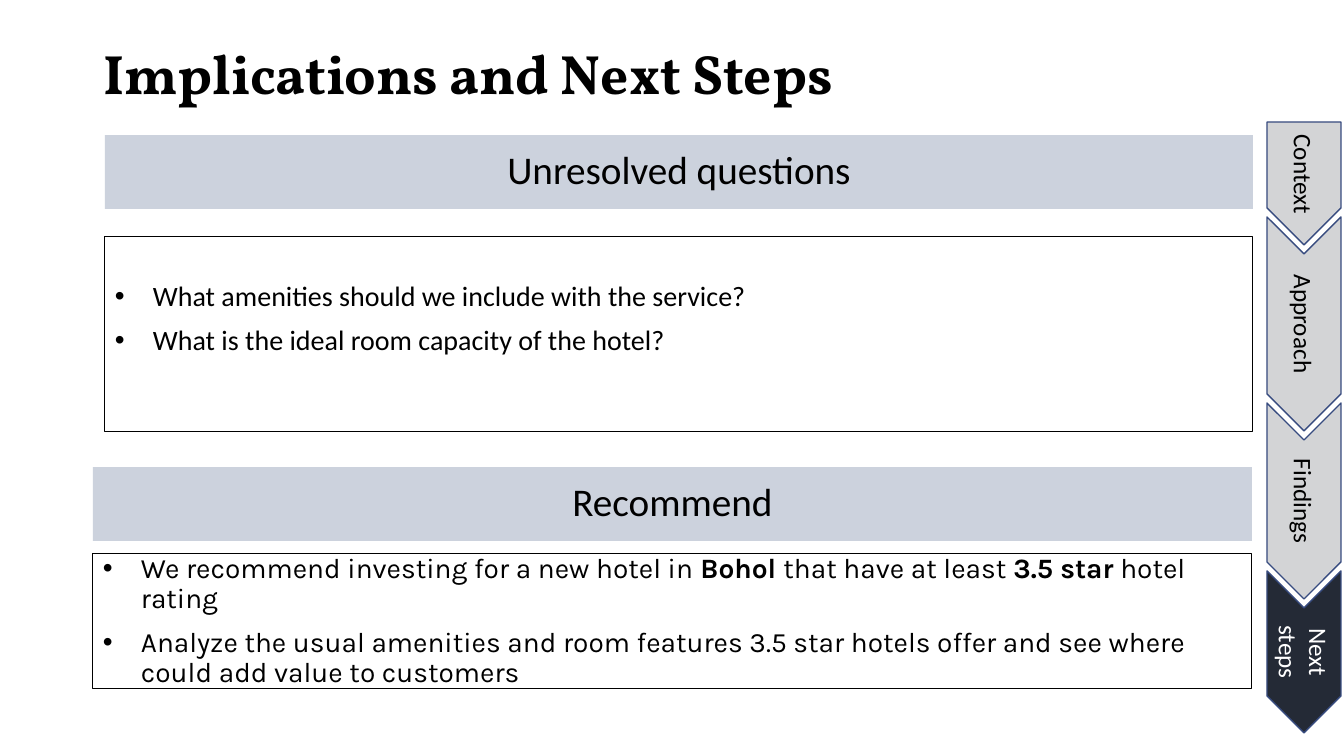
from lxml.etree import SubElement
from pptx import Presentation
from pptx.dml.color import RGBColor
from pptx.enum.shapes import MSO_SHAPE
from pptx.enum.text import MSO_ANCHOR, MSO_AUTO_SIZE, PP_ALIGN
from pptx.oxml.ns import qn
from pptx.util import Emu, Pt

TITLE = "Implications and Next Steps"
BANNERS = [
    ("Unresolved questions", (105, 135, 1148, 74)),
    ("Recommend", (93, 467, 1159, 74)),
]
BOXES = [
    {"at": (105, 237, 1148, 195), "font": "Calibri", "bottom": 35, "items": [
        [("What amenities should we include with the service?", False)],
        [("What is the ideal room capacity of the hotel?", False)],
    ]},
    {"at": (93, 554, 1159, 135), "font": "Karla", "bottom": 5, "items": [
        [("We recommend investing for a new hotel in ", False), ("Bohol ", True),
         ("that have at least ", False), ("3.5 star", True), (" hotel rating", False)],
        [("Analyze the usual amenities and room features 3.5 star hotels offer "
          "and see where could add value to customers", False)],
    ]},
]
STAGES = [("Context", 123), ("Approach", 214), ("Findings", 196), ("Next steps", 162)]
CURRENT = "Next steps"
TRACK_TOP, TRACK_CENTER, TRACK_WIDTH, OVERLAP = 122, 1304, 74, 28
INDENT = 38
NAVY, BANNER, BLACK, WHITE = "242A36", "CCD2DD", "000000", "FFFFFF"


def px(n):
    return Emu(round(n * 914400 / 100.8))


def rgb(code):
    return RGBColor.from_string(code)


def add_run(p, text, color=BLACK, **fmt):
    r = p.add_run()
    r.text = text
    for name, value in fmt.items():
        setattr(r.font, name, value)
    r.font.color.rgb = rgb(color)


def add_block(s, kind, at, fill, line=None, width=0.75):
    sp = s.shapes.add_shape(kind, *map(px, at))
    sp.shadow.inherit = False
    sp.fill.solid()
    sp.fill.fore_color.rgb = rgb(fill)
    if line:
        sp.line.color.rgb = rgb(line)
        sp.line.width = Pt(width)
    else:
        sp.line.fill.background()
    tf = sp.text_frame
    tf.word_wrap = True
    tf.vertical_anchor = MSO_ANCHOR.MIDDLE
    return sp


def add_bullet(p):
    pPr = p._p.get_or_add_pPr()
    pPr.set("marL", str(px(INDENT)))
    pPr.set("indent", str(-px(INDENT)))
    SubElement(pPr, qn("a:buFont")).set("typeface", "Arial")
    SubElement(pPr, qn("a:buChar")).set("char", "•")


def add_title(s):
    sp = s.shapes.title
    for name, value in zip(("left", "top", "width", "height"), (93, 40, 1159, 74)):
        setattr(sp, name, px(value))
    tf = sp.text_frame
    tf.word_wrap = True
    tf.auto_size = MSO_AUTO_SIZE.NONE
    tf.vertical_anchor = MSO_ANCHOR.MIDDLE
    p = tf.paragraphs[0]
    p.alignment = PP_ALIGN.LEFT
    p.line_spacing = 0.9
    add_run(p, TITLE, name="Vollkorn", size=Pt(39.6), bold=True)


def add_track(s):
    top = TRACK_TOP
    for i, (label, length) in enumerate(STAGES):
        kind = MSO_SHAPE.CHEVRON if i else MSO_SHAPE.PENTAGON
        at = (TRACK_CENTER - length / 2, top + (length - TRACK_WIDTH) / 2, length, TRACK_WIDTH)
        sp = add_block(s, kind, at, NAVY, "374B7F", 1)
        sp.rotation = 90
        if label != CURRENT:
            clr = sp._element.spPr.find(qn("a:solidFill"))[0]
            SubElement(clr, qn("a:alpha")).set("val", "20000")
        p = sp.text_frame.paragraphs[0]
        p.alignment = PP_ALIGN.CENTER
        add_run(p, label, WHITE if label == CURRENT else BLACK, name="Calibri", size=Pt(18))
        top += length - OVERLAP


def add_box(s, at, font, bottom, items):
    tf = add_block(s, MSO_SHAPE.RECTANGLE, at, WHITE, BLACK).text_frame
    tf.margin_bottom = px(bottom)
    for i, runs in enumerate(items):
        p = tf.add_paragraph() if i else tf.paragraphs[0]
        add_bullet(p)
        p.alignment = PP_ALIGN.LEFT
        p.line_spacing = 0.9
        p.space_before = Pt(10 if i else 0)
        for text, bold in runs:
            add_run(p, text, name=font, size=Pt(20), bold=bold)


def main():
    """Build the slide and save it."""
    prs = Presentation()
    prs.slide_width, prs.slide_height = px(1344), px(756)
    s = prs.slides.add_slide(prs.slide_layouts[5])
    add_title(s)
    add_track(s)
    for label, at in BANNERS:
        p = add_block(s, MSO_SHAPE.RECTANGLE, at, BANNER).text_frame.paragraphs[0]
        p.alignment = PP_ALIGN.CENTER
        p.line_spacing = 0.9
        add_run(p, label, name="Calibri", size=Pt(28))
    for box in BOXES:
        add_box(s, **box)
    prs.save("out.pptx")


if __name__ == "__main__":
    main()
